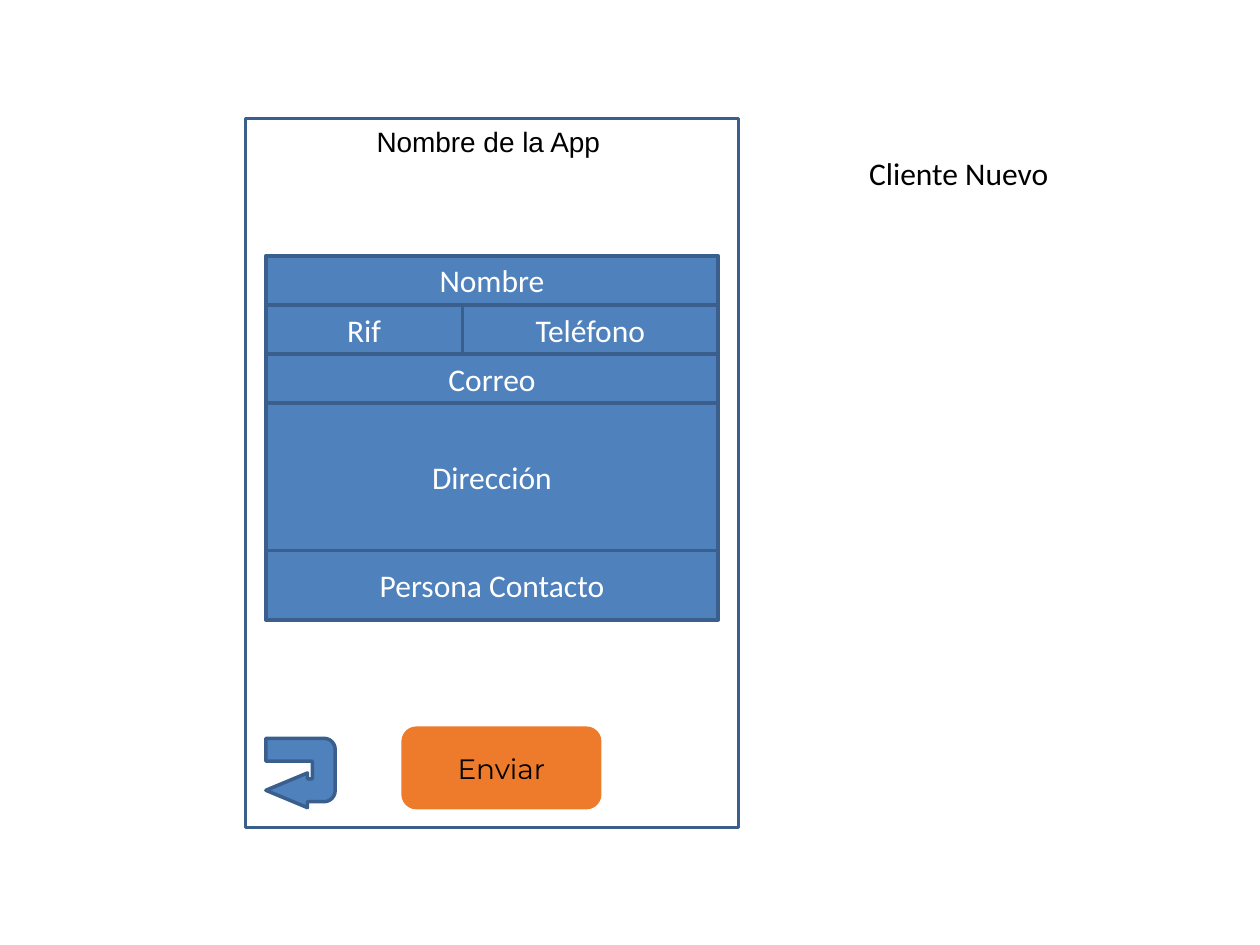
from dataclasses import dataclass

import pptx
import pptx.dml.color
import pptx.enum.shapes
import pptx.enum.text
import pptx.shapes.autoshape
import pptx.slide
import pptx.util

Inches = pptx.util.Inches
RGBColor = pptx.dml.color.RGBColor
MSO_SHAPE = pptx.enum.shapes.MSO_SHAPE

WHITE = RGBColor(0xFF, 0xFF, 0xFF)
BLACK = RGBColor(0x00, 0x00, 0x00)
BLUE = RGBColor(0x4F, 0x81, 0xBD)
DARK_BLUE = RGBColor(0x3A, 0x5F, 0x8C)
ORANGE = RGBColor(0xED, 0x7B, 0x2B)

FORM_LEFT = 2.11
FORM_TOP = 2.03
FORM_WIDTH = 3.59
RIF_WIDTH = 1.56
ROW_HEIGHT = 0.39


@dataclass(frozen=True)
class Box:
    left: float
    top: float
    width: float
    height: float


@dataclass(frozen=True)
class FormRow:
    height: float
    fields: tuple[tuple[str, float], ...]


FORM_ROWS = (
    FormRow(ROW_HEIGHT, (("Nombre", FORM_WIDTH),)),
    FormRow(ROW_HEIGHT, (("Rif", RIF_WIDTH), ("Teléfono", FORM_WIDTH - RIF_WIDTH))),
    FormRow(ROW_HEIGHT, (("Correo", FORM_WIDTH),)),
    FormRow(3 * ROW_HEIGHT, (("Dirección", FORM_WIDTH),)),
    FormRow(0.55, (("Persona Contacto", FORM_WIDTH),)),
)


def inches(box: Box) -> list[pptx.util.Length]:
    return [Inches(n) for n in (box.left, box.top, box.width, box.height)]


def write(frame: pptx.text.text.TextFrame, words: str, font: str, size: int,
          color: RGBColor) -> None:
    frame.word_wrap = True
    run = frame.paragraphs[0].add_run()
    run.text = words
    run.font.name = font
    run.font.size = pptx.util.Pt(size)
    run.font.color.rgb = color


def add_shape(slide: pptx.slide.Slide, kind: MSO_SHAPE, box: Box, fill: RGBColor,
              line: RGBColor) -> pptx.shapes.autoshape.Shape:
    shape = slide.shapes.add_shape(kind, *inches(box))
    shape.shadow.inherit = False
    shape.fill.solid()
    shape.fill.fore_color.rgb = fill
    shape.line.color.rgb = line
    shape.line.width = pptx.util.Pt(2)
    return shape


def add_caption(shape: pptx.shapes.autoshape.Shape, words: str, font: str,
                size: int, color: RGBColor) -> None:
    """Write words in the middle of a shape."""
    write(shape.text_frame, words, font, size, color)
    shape.text_frame.vertical_anchor = pptx.enum.text.MSO_ANCHOR.MIDDLE
    shape.text_frame.paragraphs[0].alignment = pptx.enum.text.PP_ALIGN.CENTER


def add_label(slide: pptx.slide.Slide, box: Box, words: str, font: str,
              size: int) -> None:
    label = slide.shapes.add_textbox(*inches(box))
    write(label.text_frame, words, font, size, BLACK)
    label.text_frame.auto_size = pptx.enum.text.MSO_AUTO_SIZE.SHAPE_TO_FIT_TEXT


def add_form(slide: pptx.slide.Slide) -> None:
    top = FORM_TOP
    for row in FORM_ROWS:
        left = FORM_LEFT
        for name, width in row.fields:
            field = add_shape(slide, MSO_SHAPE.RECTANGLE,
                              Box(left, top, width, row.height), BLUE, DARK_BLUE)
            add_caption(field, name, "Calibri", 18, WHITE)
            left += width
        top += row.height


def add_back_arrow(slide: pptx.slide.Slide) -> None:
    arrow = add_shape(slide, MSO_SHAPE.U_TURN_ARROW,
                      Box(FORM_LEFT, 5.86, 0.55, 0.55), BLUE, DARK_BLUE)
    arrow.rotation = 90
    for index, value in enumerate((0.33, 0.25, 0.6, 0.16, 1)):
        arrow.adjustments[index] = value


def main() -> None:
    deck = pptx.Presentation()
    deck.slide_width = Inches(10)
    deck.slide_height = Inches(7.5)
    slide = deck.slides.add_slide(deck.slide_layouts[6])

    add_shape(slide, MSO_SHAPE.RECTANGLE, Box(1.95, 0.94, 3.91, 5.63), WHITE, DARK_BLUE)
    add_label(slide, Box(6.8, 1.17, 2.66, 0.4), "Cliente Nuevo", "Calibri", 18)
    add_label(slide, Box(2.89, 0.94, 2.97, 0.37), "Nombre de la App", "Arial", 16)
    add_form(slide)
    send_button = add_shape(slide, MSO_SHAPE.ROUNDED_RECTANGLE,
                            Box(3.2, 5.78, 1.56, 0.63), ORANGE, ORANGE)
    add_caption(send_button, "Enviar", "Montserrat", 16, BLACK)
    add_back_arrow(slide)

    deck.save("out.pptx")


if __name__ == "__main__":
    main()
